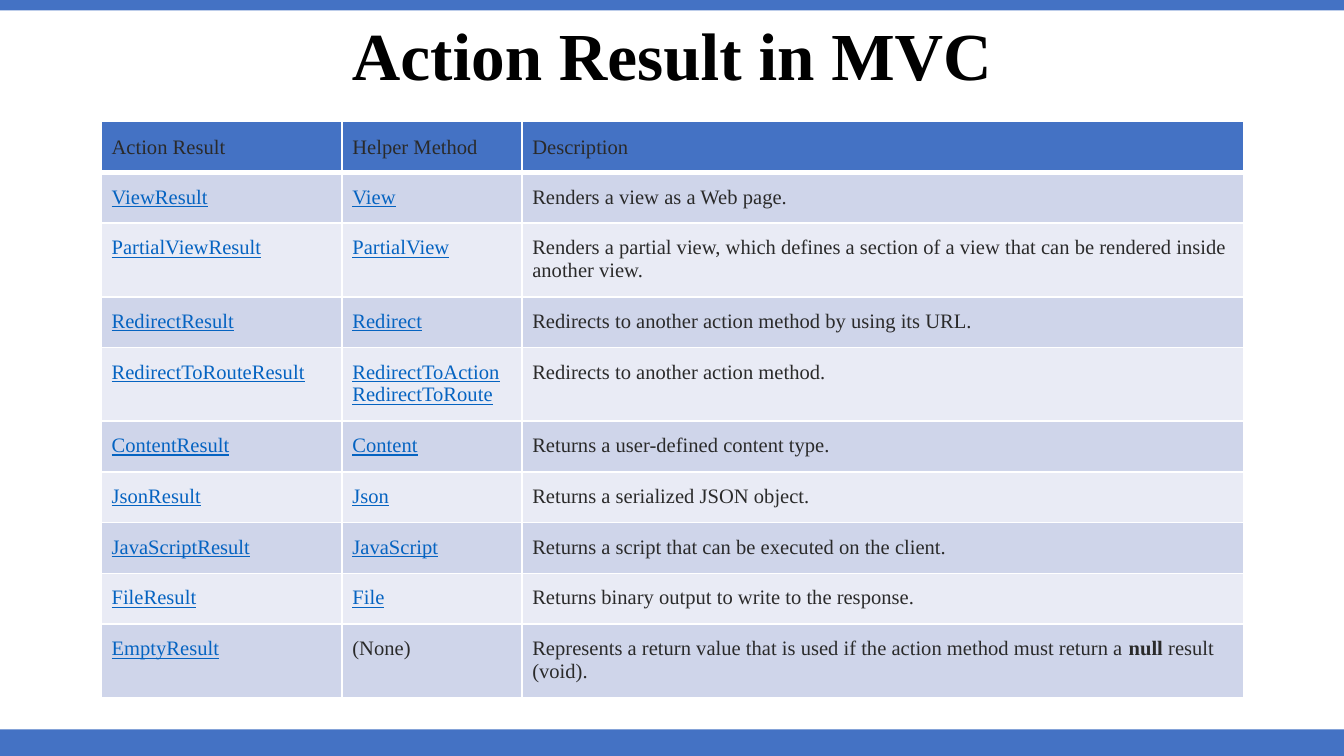
from pptx import Presentation
from pptx.dml.color import RGBColor
from pptx.enum.shapes import MSO_SHAPE as SHAPE
from pptx.enum.text import MSO_ANCHOR as ANCHOR, MSO_AUTO_SIZE as AUTO, PP_ALIGN as ALIGN
from pptx.oxml import parse_xml
from pptx.oxml.ns import nsdecls
from pptx.util import Cm, Pt

COLORS = {"blue": "4472C4", "band": "CFD5EA", "light": "E9EBF5", "white": "FFFFFF",
          "text": "2A2A2A", "link": "0563C1", "black": "000000"}
FONT = "Times New Roman"
WIDTH, HEIGHT = 25.4, 14.29
COLUMNS = [4.55, 3.4, 13.64]
ONE_LINE, TWO_LINES = 0.96, 1.39
HEADER = ("Action Result", "Helper Method", "Description")
RESULTS = [
    ("ViewResult", "View", "Renders a view as a Web page."),
    ("PartialViewResult", "PartialView",
     "Renders a partial view, which defines a section of a view that can be "
     "rendered inside another view."),
    ("RedirectResult", "Redirect", "Redirects to another action method by using its URL."),
    ("RedirectToRouteResult", "RedirectToAction\nRedirectToRoute",
     "Redirects to another action method."),
    ("ContentResult", "Content", "Returns a user-defined content type."),
    ("JsonResult", "Json", "Returns a serialized JSON object."),
    ("JavaScriptResult", "JavaScript", "Returns a script that can be executed on the client."),
    ("FileResult", "File", "Returns binary output to write to the response."),
    ("EmptyResult", "(None)",
     "Represents a return value that is used if the action method must return a "
     "**null** result (void)."),
]


def rgb(name):
    return RGBColor.from_string(COLORS[name])


def style_run(r, size, color, bold=False, underline=False):
    r.font.name, r.font.size = FONT, Pt(size)
    r.font.color.rgb = rgb(color)
    r.font.bold, r.font.underline = bold, underline


def add_bar(s, top, height):
    bar = s.shapes.add_shape(SHAPE.RECTANGLE, 0, Cm(top), Cm(WIDTH), Cm(height))
    bar.shadow.inherit = False
    bar.fill.solid()
    bar.fill.fore_color.rgb = rgb("blue")
    bar.line.fill.background()


def set_title(s, text):
    title = s.shapes.title
    title.left, title.top, title.width, title.height = 0, Cm(0.36), Cm(WIDTH), Cm(1.6)
    tf = title.text_frame
    tf.text = text
    tf.word_wrap, tf.auto_size = True, AUTO.NONE
    tf.vertical_anchor = ANCHOR.MIDDLE
    p = tf.paragraphs[0]
    p.alignment, p.line_spacing = ALIGN.CENTER, 0.8
    style_run(p.runs[0], 36, "black", bold=True)


def set_borders(cell, bottom):
    tc_pr = cell._tc.get_or_add_tcPr()
    for side, width in (("L", 1), ("R", 1), ("T", 1), ("B", bottom)):
        tc_pr.append(parse_xml(
            f'<a:ln{side} {nsdecls("a")} w="{Pt(width)}"><a:solidFill>'
            f'<a:srgbClr val="{COLORS["white"]}"/></a:solidFill></a:ln{side}>'))


def fill_cell(cell, text, fill, link=False, header=False):
    set_borders(cell, 3 if header else 1)
    cell.fill.solid()
    cell.fill.fore_color.rgb = rgb(fill)
    cell.margin_left = cell.margin_right = Cm(0.2)
    cell.margin_top = cell.margin_bottom = Cm(0.25)
    cell.vertical_anchor = ANCHOR.MIDDLE if header else ANCHOR.TOP
    tf = cell.text_frame
    for i, line in enumerate(text.split("\n")):
        p = tf.add_paragraph() if i else tf.paragraphs[0]
        for j, part in enumerate(line.split("**")):
            r = p.add_run()
            r.text = part
            style_run(r, 11, "link" if link else "text", bold=j % 2 == 1, underline=link)


def add_results_table(s):
    rows = [HEADER] + RESULTS
    heights = [TWO_LINES if "\n" in row[1] or len(row[2]) > 80 else ONE_LINE for row in rows]
    frame = s.shapes.add_table(len(rows), len(COLUMNS), Cm(1.91), Cm(2.3),
                               Cm(sum(COLUMNS)), Cm(sum(heights)))
    table = frame.table
    for column, width in zip(table.columns, COLUMNS):
        column.width = Cm(width)
    for i, (row, height) in enumerate(zip(rows, heights)):
        table.rows[i].height = Cm(height)
        fill = "blue" if i == 0 else ("light", "band")[i % 2]
        for j, text in enumerate(row):
            link = i > 0 and j < 2 and text != "(None)"
            fill_cell(table.cell(i, j), text, fill, link, header=i == 0)


def main():
    """Build the slide on MVC action results."""
    prs = Presentation()
    prs.slide_width, prs.slide_height = Cm(WIDTH), Cm(HEIGHT)
    s = prs.slides.add_slide(prs.slide_layouts[5])
    add_bar(s, 13.79, 0.5)
    add_bar(s, 0, 0.2)
    add_results_table(s)
    set_title(s, "Action Result in MVC")
    prs.save("out.pptx")


if __name__ == "__main__":
    main()
